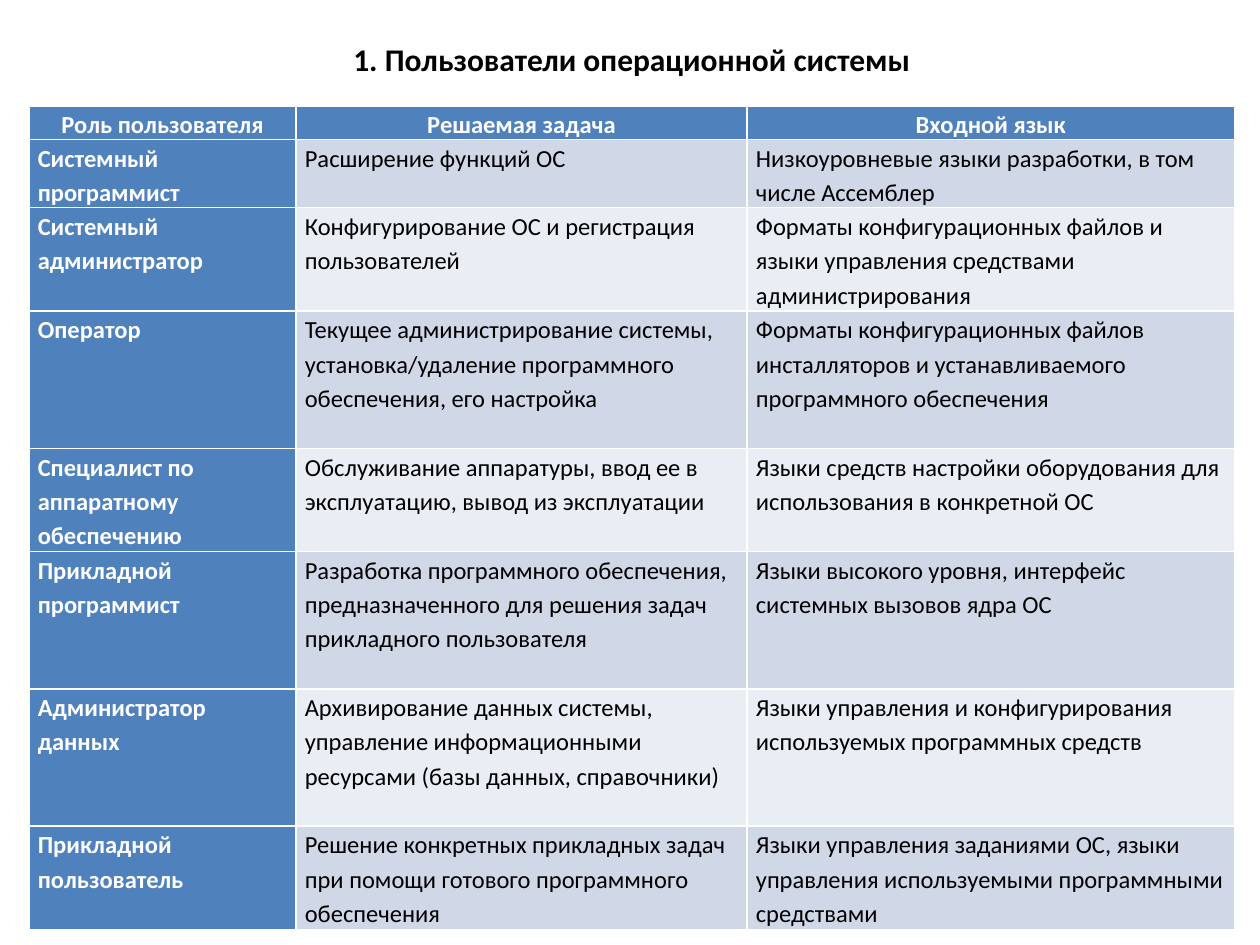
from pptx import Presentation
from pptx.dml.color import RGBColor
from pptx.enum.text import MSO_ANCHOR, MSO_AUTO_SIZE, PP_ALIGN
from pptx.util import Inches, Pt

CENTER, LEFT = PP_ALIGN.CENTER, PP_ALIGN.LEFT
TOP = MSO_ANCHOR.TOP
GROW = MSO_AUTO_SIZE.SHAPE_TO_FIT_TEXT

BLACK = RGBColor(0x00, 0x00, 0x00)
WHITE = RGBColor(0xFF, 0xFF, 0xFF)
BLUE = RGBColor(0x4F, 0x81, 0xBD)
BANDS = (RGBColor(0xD0, 0xD8, 0xE8), RGBColor(0xE9, 0xED, 0xF4))

LEFT_EDGE, WIDTH = 0.23, 9.57
COLUMNS = (2.12, 3.58, 3.87)
HEIGHTS = (0.26, 0.54, 0.82, 1.09, 0.82, 1.09, 1.09, 0.82)
ROWS = (
    ("Роль пользователя", "Решаемая задача", "Входной язык"),
    ("Системный программист", "Расширение функций ОС",
     "Низкоуровневые языки разработки, в том числе Ассемблер"),
    ("Системный администратор", "Конфигурирование ОС и регистрация пользователей",
     "Форматы конфигурационных файлов и языки управления средствами администрирования"),
    ("Оператор",
     "Текущее администрирование системы, установка/удаление программного обеспечения, его настройка",
     "Форматы конфигурационных файлов инсталляторов и устанавливаемого программного обеспечения"),
    ("Специалист по аппаратному обеспечению",
     "Обслуживание аппаратуры, ввод ее в эксплуатацию, вывод из эксплуатации",
     "Языки средств настройки оборудования для использования в конкретной ОС"),
    ("Прикладной программист",
     "Разработка программного обеспечения, предназначенного для решения задач прикладного пользователя",
     "Языки высокого уровня, интерфейс системных вызовов ядра ОС"),
    ("Администратор данных",
     "Архивирование данных системы, управление информационными ресурсами (базы данных, справочники)",
     "Языки управления и конфигурирования используемых программных средств"),
    ("Прикладной пользователь",
     "Решение конкретных прикладных задач при помощи готового программного обеспечения",
     "Языки управления заданиями ОС, языки управления используемыми программными средствами"),
)


def write(tf, text, font="Calibri", size=14, color=BLACK, bold=False, align=LEFT, spacing=1.0):
    """Put one formatted paragraph into a text frame."""
    p = tf.paragraphs[0]
    p.alignment, p.line_spacing = align, spacing
    r = p.add_run()
    r.text = text
    r.font.name, r.font.size, r.font.bold = font, Pt(size), bold
    r.font.color.rgb = color


class SlideBuilder:
    """Hold the style and the current slide."""

    def __init__(self, slide, font="Calibri"):
        self.slide, self.font = slide, font

    def title(self, text, left, top, width, height):
        sp = self.slide.shapes.title
        sp.left, sp.top, sp.width, sp.height = map(Inches, (left, top, width, height))
        tf = sp.text_frame
        tf.word_wrap, tf.auto_size, tf.vertical_anchor = True, GROW, TOP
        write(tf, text, font=self.font, size=18, bold=True, align=CENTER)

    def table(self, rows, left, top, widths, heights):
        table = self.slide.shapes.add_table(
            len(rows), len(widths), Inches(left), Inches(top),
            Inches(sum(widths)), Inches(sum(heights))).table
        table.first_col = True
        for column, width in zip(table.columns, widths):
            column.width = Inches(width)
        for row, height in zip(table.rows, heights):
            row.height = Inches(height)
        for i, texts in enumerate(rows):
            for j, text in enumerate(texts):
                self.cell(table.cell(i, j), text, i, j)

    def cell(self, cell, text, i, j):
        heading = i == 0 or j == 0
        cell.margin_left = cell.margin_right = Inches(0.07)
        cell.margin_top = cell.margin_bottom = 0
        cell.fill.solid()
        cell.fill.fore_color.rgb = BLUE if heading else BANDS[(i - 1) % 2]
        write(cell.text_frame, text, font=self.font, bold=heading, spacing=1.15,
              color=WHITE if heading else BLACK, align=LEFT if i else CENTER)


def main():
    prs = Presentation()
    prs.slide_width, prs.slide_height = Inches(10), Inches(7.5)
    builder = SlideBuilder(prs.slides.add_slide(prs.slide_layouts[5]))
    builder.title("1. Пользователи операционной системы", LEFT_EDGE, 0.27, WIDTH, 0.4)
    builder.table(ROWS, LEFT_EDGE, 0.84, COLUMNS, HEIGHTS)
    prs.save("out.pptx")


if __name__ == "__main__":
    main()
